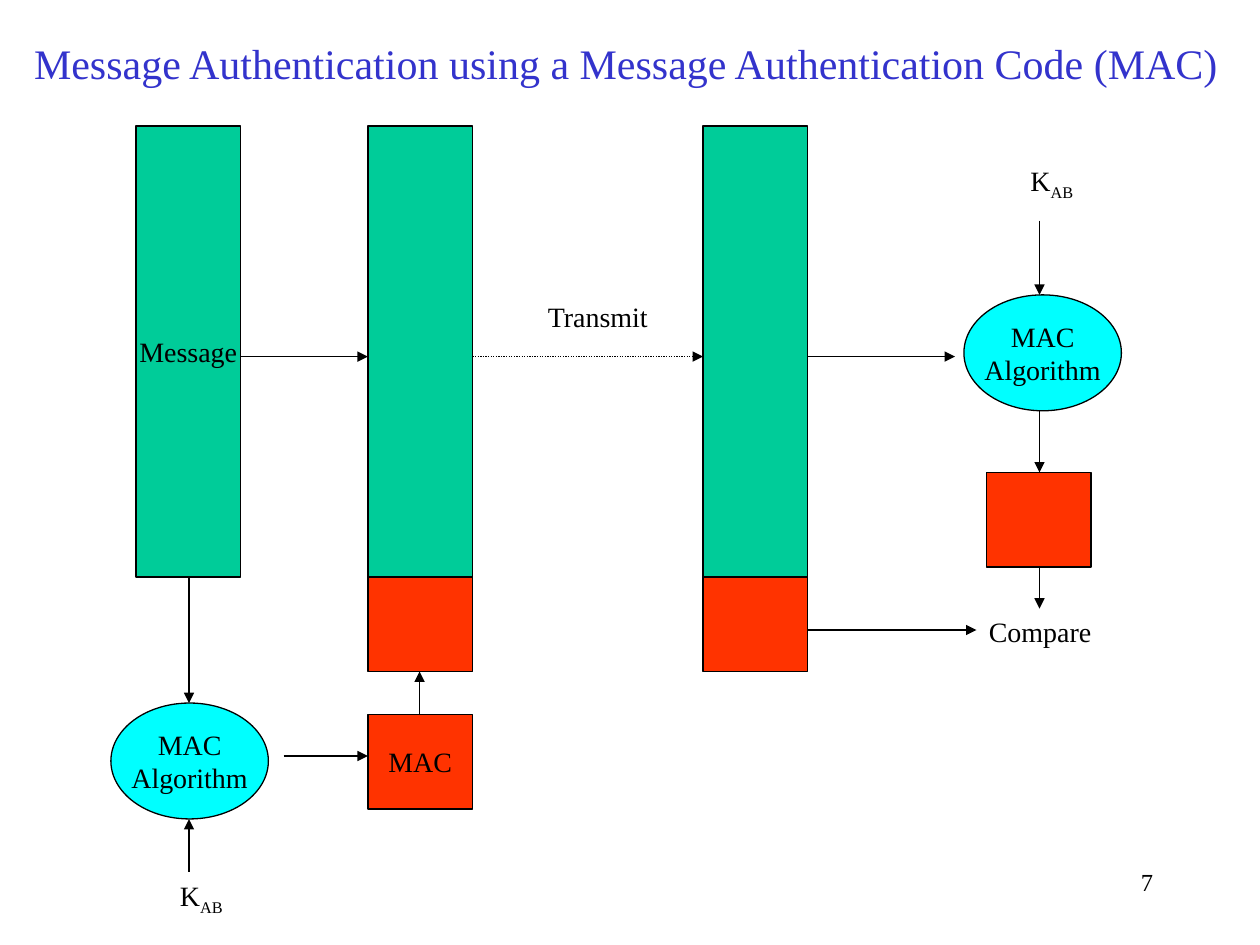
from dataclasses import dataclass

from lxml.etree import SubElement
from pptx import Presentation
from pptx.dml.color import RGBColor
from pptx.enum.dml import MSO_LINE
from pptx.enum.shapes import MSO_CONNECTOR, MSO_SHAPE
from pptx.enum.text import MSO_ANCHOR, PP_ALIGN
from pptx.oxml.ns import qn
from pptx.util import Inches, Pt


@dataclass(frozen=True)
class Theme:
    font: str = "Times New Roman"
    ink: RGBColor = RGBColor(0, 0, 0)
    title: RGBColor = RGBColor(0x33, 0x33, 0xCC)
    message: RGBColor = RGBColor(0, 0xCC, 0x99)
    mac: RGBColor = RGBColor(0xFF, 0x33, 0)
    algorithm: RGBColor = RGBColor(0, 0xFF, 0xFF)
    title_size: int = 24
    label_size: int = 16
    number_size: int = 14
    line_width: float = 0.75


THEME = Theme()
BAR_W, MESSAGE_H, MAC_H = 0.83, 3.58, 0.75
ELLIPSE_W, ELLIPSE_H = 1.25, 0.92
LABEL_H = 0.37
FLOW_Y = 1.83  # message flow, below the top of the bars


def add_run(paragraph, text, size=THEME.label_size, color=THEME.ink):
    run = paragraph.add_run()
    run.text = text
    run.font.name = THEME.font
    run.font.size = Pt(size)
    run.font.color.rgb = color
    return run


def add_block(slide, kind, x, y, w, h, fill, lines=()):
    block = slide.shapes.add_shape(kind, Inches(x), Inches(y), Inches(w), Inches(h))
    block.shadow.inherit = False
    block.fill.solid()
    block.fill.fore_color.rgb = fill
    block.line.color.rgb = THEME.ink
    block.line.width = Pt(THEME.line_width)
    frame = block.text_frame
    frame.word_wrap = False
    frame.vertical_anchor = MSO_ANCHOR.MIDDLE
    for i, line in enumerate(lines):
        paragraph = frame.add_paragraph() if i else frame.paragraphs[0]
        paragraph.alignment = PP_ALIGN.CENTER
        add_run(paragraph, line)


def add_message(slide, x, y, lines=()):
    add_block(slide, MSO_SHAPE.RECTANGLE, x, y, BAR_W, MESSAGE_H, THEME.message, lines)


def add_mac(slide, x, y, lines=()):
    add_block(slide, MSO_SHAPE.RECTANGLE, x, y, BAR_W, MAC_H, THEME.mac, lines)


def add_message_with_mac(slide, x, y):
    add_message(slide, x, y)
    add_mac(slide, x, y + MESSAGE_H)


def add_algorithm(slide, x, y):
    add_block(slide, MSO_SHAPE.OVAL, x, y, ELLIPSE_W, ELLIPSE_H,
              THEME.algorithm, ("MAC", "Algorithm"))


def add_arrow(slide, x1, y1, x2, y2, dotted=False):
    arrow = slide.shapes.add_connector(
        MSO_CONNECTOR.STRAIGHT, Inches(x1), Inches(y1), Inches(x2), Inches(y2))
    arrow.line.color.rgb = THEME.ink
    arrow.line.width = Pt(THEME.line_width)
    if dotted:
        arrow.line.dash_style = MSO_LINE.ROUND_DOT
    SubElement(arrow.line._get_or_add_ln(), qn("a:tailEnd"), type="triangle")
    SubElement(arrow._element.spPr, qn("a:effectLst"))


def add_label(slide, x, y, w, text, h=LABEL_H, size=THEME.label_size,
              align=PP_ALIGN.LEFT, wrap=False):
    label = slide.shapes.add_textbox(Inches(x), Inches(y), Inches(w), Inches(h))
    label.text_frame.word_wrap = wrap
    paragraph = label.text_frame.paragraphs[0]
    paragraph.alignment = align
    add_run(paragraph, text, size)
    return paragraph


def add_key(slide, x, y):
    paragraph = add_label(slide, x, y, 0.57, "K")
    subscript = add_run(paragraph, "AB")
    subscript._r.get_or_add_rPr().set("baseline", "-25000")


def place_title(slide, x, y, w, h):
    title = slide.shapes.title
    title.left, title.top, title.width, title.height = map(Inches, (x, y, w, h))
    frame = title.text_frame
    frame.word_wrap = False
    frame.vertical_anchor = MSO_ANCHOR.TOP
    frame.paragraphs[0].alignment = PP_ALIGN.LEFT
    add_run(frame.paragraphs[0],
            "Message Authentication using a Message Authentication Code (MAC)",
            THEME.title_size, THEME.title)


def draw_sender(slide, x, y):
    message_x, packet_x = x + 0.2, x + 2.04
    message_axis, packet_axis = x + 0.62, x + 2.45
    message_end = y + MESSAGE_H
    algorithm_y, mac_y = y + 4.58, y + 4.67

    # Message and the message with its code attached
    add_message(slide, message_x, y, ("Message",))
    add_message_with_mac(slide, packet_x, y)
    add_arrow(slide, message_x + BAR_W, y + FLOW_Y, packet_x, y + FLOW_Y)

    # Computing the code from message and key
    add_algorithm(slide, x, algorithm_y)
    add_mac(slide, packet_x, mac_y, ("MAC",))
    add_key(slide, x + 0.45, y + 5.92)
    add_arrow(slide, message_axis, message_end, message_axis, algorithm_y)
    add_arrow(slide, message_axis, y + 5.92, message_axis, algorithm_y + ELLIPSE_H)
    add_arrow(slide, x + 1.37, y + 5, packet_x, y + 5)
    add_arrow(slide, packet_axis, mac_y, packet_axis, message_end + MAC_H)


def draw_channel(slide, x, y, w):
    add_arrow(slide, x, y, x + w, y, dotted=True)
    add_label(slide, x + 0.5, y - 0.5, 1, "Transmit", wrap=True)


def draw_receiver(slide, x, y):
    packet_end, axis = x + BAR_W, x + 2.67
    algorithm_y, mac_y, compare_y = y + 1.34, y + 2.75, y + 3.83

    # Received message and code
    add_message_with_mac(slide, x, y)
    add_arrow(slide, packet_end, y + FLOW_Y, x + 2, y + FLOW_Y)
    add_arrow(slide, packet_end, y + 4, x + 2.17, y + 4)

    # Recomputing the code and comparing
    add_key(slide, x + 2.5, y + 0.25)
    add_algorithm(slide, x + 2.07, algorithm_y)
    add_mac(slide, x + 2.25, mac_y)
    add_label(slide, x + 2.17, compare_y, 1.02, "Compare")
    add_arrow(slide, axis, y + 0.75, axis, algorithm_y)
    add_arrow(slide, axis, algorithm_y + ELLIPSE_H, axis, mac_y)
    add_arrow(slide, axis, mac_y + MAC_H, axis, compare_y)


def main():
    deck = Presentation()
    deck.slide_width, deck.slide_height = Inches(10), Inches(7.5)
    slide = deck.slides.add_slide(deck.slide_layouts[5])

    place_title(slide, 0.17, 0.25, 9.63, 0.5)
    draw_sender(slide, 0.88, 1)
    draw_channel(slide, 3.75, 1 + FLOW_Y, 1.83)
    draw_receiver(slide, 5.58, 1)
    add_label(slide, 7.17, 6.83, 2.08, "7", 0.5, THEME.number_size,
              PP_ALIGN.RIGHT, wrap=True)

    deck.save("out.pptx")


if __name__ == "__main__":
    main()
